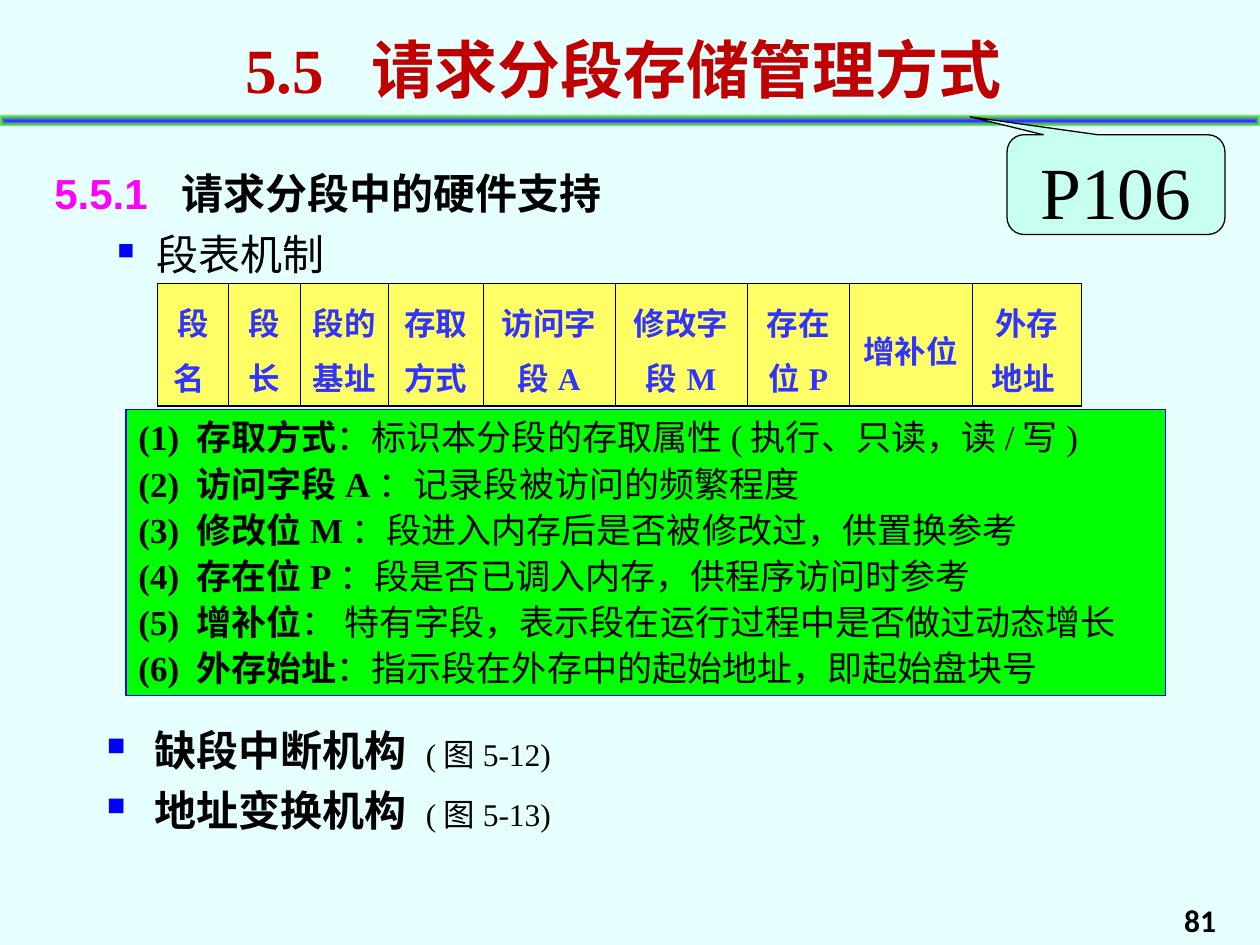
"""Build the slide on demand segmentation: segment table, field notes and mechanisms."""
from lxml import etree
from pptx import Presentation
from pptx import util as u
from pptx.dml import color
from pptx.enum import shapes, text
from pptx.oxml import ns

HUES = {
    "back": "E6FFFF", "title": "C00000", "pink": "FF00FF", "ink": "000000",
    "blue": "0000FF", "head": "3333FF", "cell": "FFFF66", "note": "00FF00",
    "call": "C7FFF0", "edge": "66FF33",
}
ROMAN = "Times New Roman"
MID = text.MSO_ANCHOR.MIDDLE
CENTER, RIGHT, JUST = text.PP_ALIGN.CENTER, text.PP_ALIGN.RIGHT, text.PP_ALIGN.JUSTIFY
FIELDS = [
    ("段名 ", 40.5), ("段长", 41), ("段的基址", 50.5), ("存取方式", 54), ("访问字段A", 75.5),
    ("修改字段M", 75.5), ("存在位P", 58.5), ("增补位", 70), ("外存地址 ", 62.5),
]
NOTES = [
    ("(1) 存取方式", "：标识本分段的存取属性(执行、只读，读/写)"),
    ("(2) 访问字段A", "：记录段被访问的频繁程度"),
    ("(3) 修改位M", "：段进入内存后是否被修改过，供置换参考"),
    ("(4) 存在位P", "：段是否已调入内存，供程序访问时参考"),
    ("(5) 增补位", "： 特有字段，表示段在运行过程中是否做过动态增长"),
    ("(6) 外存始址", "：指示段在外存中的起始地址，即起始盘块号"),
]
PARTS = [("缺段中断机构 ", "(图5-12)"), ("地址变换机构 ", "(图5-13)")]


def rgb(key):
    """Return the named colour."""
    return color.RGBColor.from_string(HUES[key])


def apply(item, form):
    """Set each attribute of an object from a dict."""
    for key, val in form.items():
        setattr(item, key, val)


def node(top, tag, **attrs):
    """Add a drawing element with the given attributes."""
    return etree.SubElement(top, ns.qn("a:" + tag), attrs)


def paint(shape, fill, line=None):
    """Give a shape a plain fill and an outline or none."""
    shape.shadow.inherit = False
    shape.fill.solid()
    shape.fill.fore_color.rgb = rgb(fill)
    if line:
        shape.line.color.rgb = rgb(line)
        shape.line.width = u.Pt(0.75)
    else:
        shape.line.fill.background()


def frame(item, pads=(7.2, 3.6, 7.2, 3.6), **form):
    """Set the insets and wrapping of a text frame."""
    sides = ("margin_left", "margin_top", "margin_right", "margin_bottom")
    apply(item, dict(zip(sides, map(u.Pt, pads)), word_wrap=True, **form))
    return item


def box(slide, spot, **form):
    """Add a text box and return its frame."""
    return frame(slide.shapes.add_textbox(*map(u.Pt, spot)).text_frame, **form)


def write(body, runs, bullet=None, tab=None, **form):
    """Add a paragraph of (text, size, bold, colour, font) runs."""
    para = body.paragraphs[0]
    if para.runs:
        para = body.add_paragraph()
    apply(para, form)
    props = para._p.get_or_add_pPr()
    if bullet:
        left, hang, size = bullet
        props.set("marL", str(u.Pt(left)))
        props.set("indent", str(-u.Pt(hang)))
        node(node(props, "buClr"), "srgbClr", val=HUES["blue"])
        node(props, "buSzPct", val=str(size * 1000))
        node(props, "buChar", char="■")
    if tab:
        node(node(props, "tabLst"), "tab", pos=str(u.Pt(tab)), algn="l")
    for words, size, bold, hue, name in runs:
        run = para.add_run()
        run.text = words
        apply(run.font, {"size": u.Pt(size), "bold": bold, "name": name})
        run.font.color.rgb = rgb(hue)


def rule(slide):
    """Draw the band under the title, shaded from its middle to its edge."""
    band = slide.shapes.add_shape(
        shapes.MSO_SHAPE.RECTANGLE, *map(u.Pt, (0, 66, 720, 6)))
    paint(band, "head")
    band.fill.gradient()
    for stop, hue, pos in zip(band.fill.gradient_stops, ("head", "edge"), (0, 1)):
        stop.color.rgb = rgb(hue)
        stop.position = pos
    grad = band._element.spPr.find(ns.qn("a:gradFill"))
    grad.remove(grad.find(ns.qn("a:lin")))
    focus = node(grad, "path", path="rect")
    node(focus, "fillToRect", l="50000", t="50000", r="50000", b="50000")


def border(cell, sides):
    """Draw cell borders from a dict of side and width."""
    props = cell._tc.get_or_add_tcPr()
    for rank, (side, width) in enumerate(sides.items()):
        line = etree.Element(ns.qn("a:ln" + side), w=str(u.Pt(width)))
        node(node(line, "solidFill"), "srgbClr", val=HUES["ink"])
        props.insert(rank, line)


def grid(slide):
    """Add the one-row segment table."""
    width = sum(wide for _, wide in FIELDS)
    table = slide.shapes.add_table(
        1, len(FIELDS), *map(u.Pt, (90, 162, width, 70))).table
    apply(table, {"first_row": False, "horz_banding": False})
    last = len(FIELDS) - 1
    for col, (label, wide) in enumerate(FIELDS):
        table.columns[col].width = u.Pt(wide)
        cell = table.cell(0, col)
        apply(cell, {"margin_left": u.Pt(4.5), "margin_right": u.Pt(4.5),
                     "vertical_anchor": MID})
        cell.fill.solid()
        cell.fill.fore_color.rgb = rgb("cell")
        border(cell, {"L": 0.45 if col else 1, "R": 0.45 if col < last else 1,
                      "T": 1, "B": 1})
        write(cell.text_frame, [(label, 18, True, "head", ROMAN)],
              alignment=CENTER, line_spacing=1.2)


def notes(slide):
    """Add the panel that explains the table fields."""
    panel = slide.shapes.add_shape(
        shapes.MSO_SHAPE.RECTANGLE, *map(u.Pt, (72, 234, 594, 163.5)))
    paint(panel, "note", "blue")
    body = frame(panel.text_frame, vertical_anchor=text.MSO_ANCHOR.TOP)
    for row, (term, gloss) in enumerate(NOTES):
        form = {"line_spacing": 1.1} if row > 2 else {"space_before": u.Pt(2.5 if row else 0)}
        write(body, [(term, 20, True, "ink", ROMAN), (gloss, 20, False, "ink", ROMAN)],
              alignment=JUST, **form)


def callout(slide):
    """Add the page reference balloon."""
    shape = slide.shapes.add_shape(
        shapes.MSO_SHAPE.ROUNDED_RECTANGULAR_CALLOUT, *map(u.Pt, (575.5, 77, 124.5, 57)))
    for rank, val in enumerate((-0.67, -0.68, 0.17)):
        shape.adjustments[rank] = val
    paint(shape, "call", "ink")
    body = frame(shape.text_frame, (7.2, 3.6, 7.2, 0), vertical_anchor=text.MSO_ANCHOR.TOP)
    write(body, [("P106", 42, False, "ink", ROMAN)], alignment=CENTER)


def main():
    """Build and save the slide."""
    deck = Presentation()
    apply(deck, {"slide_width": u.Pt(720), "slide_height": u.Pt(540)})
    slide = deck.slides.add_slide(deck.slide_layouts[6])
    slide.background.fill.solid()
    slide.background.fill.fore_color.rgb = rgb("back")

    title = box(slide, (133, 13.5, 493, 51), vertical_anchor=MID)
    write(title, [("5.5\t请求分段存储管理方式", 36, True, "title", ROMAN)], tab=72.5)

    flat = (7.2, 0, 7.2, 0)
    head = box(slide, (24, 90, 645, 70), pads=flat)
    write(head, [("5.5.1\t", 24, True, "pink", "Arial"),
                 ("请求分段中的硬件支持", 24, True, "ink", "Calibri")],
          tab=72.5, line_spacing=1.2)
    write(head, [("段表机制", 24, False, "ink", "Calibri")],
          bullet=(58.5, 22.5, 55), space_before=u.Pt(6))

    grid(slide)
    parts = box(slide, (54, 408, 522, 69), pads=flat)
    for name, ref in PARTS:
        write(parts, [(name, 24, True, "ink", ROMAN), (ref, 18, False, "ink", ROMAN)],
              bullet=(27, 27, 60), line_spacing=1.2)

    rule(slide)
    notes(slide)
    page = box(slide, (626.5, 504, 75.5, 36), vertical_anchor=text.MSO_ANCHOR.BOTTOM)
    write(page, [("81", 18, True, "ink", "Calibri")], alignment=RIGHT)
    callout(slide)
    deck.save("out.pptx")


if __name__ == "__main__":
    main()
